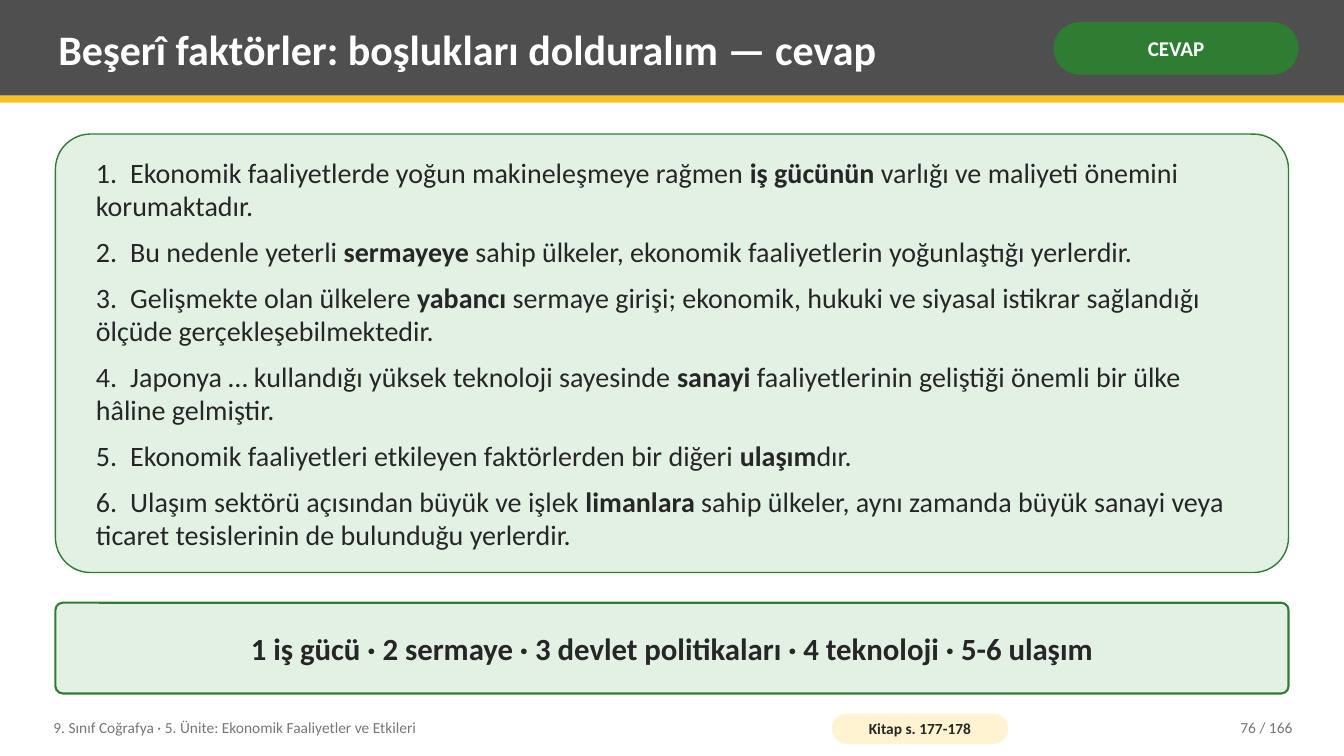
from dataclasses import dataclass
from typing import Optional

from lxml.etree import SubElement
from pptx import Presentation
from pptx.dml.color import RGBColor
from pptx.enum.shapes import MSO_SHAPE
from pptx.enum.text import MSO_ANCHOR, MSO_AUTO_SIZE, PP_ALIGN
from pptx.oxml.ns import qn
from pptx.util import Pt

PX = 9144
FONT = "Calibri"
COLORS = {
    "header": "4F4F4F",
    "accent": "FCC021",
    "white": "FFFFFF",
    "green": "2E7D32",
    "mint": "E3F1E4",
    "ink": "262626",
    "cream": "FFF3D1",
    "gray": "767676",
}


@dataclass(frozen=True)
class Box:
    left: int
    top: int
    width: int
    height: int

    def emu(self) -> tuple[int, ...]:
        return tuple(v * PX for v in (self.left, self.top, self.width, self.height))


@dataclass(frozen=True)
class Style:
    size: int
    color: str
    bold: bool = False
    align: PP_ALIGN = PP_ALIGN.LEFT
    inset_x: int = 8
    inset_y: int = 4


@dataclass(frozen=True)
class Panel:
    box: Box
    fill: str
    radius: Optional[float] = None
    border: float = 0
    text: str = ""
    style: Optional[Style] = None


@dataclass(frozen=True)
class Label:
    box: Box
    text: str
    style: Style


@dataclass(frozen=True)
class Sentence:
    before: str
    answer: str
    after: str


HEADER_BARS = [
    Panel(Box(0, 0, 1333, 95), "header"),
    Panel(Box(0, 95, 1333, 7), "accent"),
]
TITLE = Label(
    Box(50, 7, 975, 82),
    "Beşerî faktörler: boşlukları dolduralım — cevap",
    Style(30, "white", True),
)
BADGE = Panel(
    Box(1045, 22, 243, 52), "green", 0.5, 0, "CEVAP",
    Style(15, "white", True, PP_ALIGN.CENTER, 5, 2),
)
SENTENCE_PANEL = Panel(Box(55, 133, 1223, 435), "mint", 0.08, 1)
SENTENCE_STYLE = Style(20, "ink", inset_x=30, inset_y=8)
NUMBER_WIDTH = 34
SENTENCES = [
    Sentence("Ekonomik faaliyetlerde yoğun makineleşmeye rağmen ", "iş gücünün",
             " varlığı ve maliyeti önemini korumaktadır."),
    Sentence("Bu nedenle yeterli ", "sermayeye",
             " sahip ülkeler, ekonomik faaliyetlerin yoğunlaştığı yerlerdir."),
    Sentence("Gelişmekte olan ülkelere ", "yabancı",
             " sermaye girişi; ekonomik, hukuki ve siyasal istikrar sağlandığı "
             "ölçüde gerçekleşebilmektedir."),
    Sentence("Japonya … kullandığı yüksek teknoloji sayesinde ", "sanayi",
             " faaliyetlerinin geliştiği önemli bir ülke hâline gelmiştir."),
    Sentence("Ekonomik faaliyetleri etkileyen faktörlerden bir diğeri ", "ulaşım", "dır."),
    Sentence("Ulaşım sektörü açısından büyük ve işlek ", "limanlara",
             " sahip ülkeler, aynı zamanda büyük sanayi veya ticaret tesislerinin "
             "de bulunduğu yerlerdir."),
]
SUMMARY = Panel(
    Box(55, 598, 1223, 90), "mint", 0.08, 1.5,
    "1 iş gücü · 2 sermaye · 3 devlet politikaları · 4 teknoloji · 5-6 ulaşım",
    Style(22, "ink", True, PP_ALIGN.CENTER, 22, 8),
)
BOOK_PAGES = Panel(
    Box(825, 708, 175, 30), "cream", 0.5, 0, "Kitap s. 177-178",
    Style(11, "ink", True, PP_ALIGN.CENTER, 4, 0),
)
FOOTER_LABELS = [
    Label(Box(45, 704, 760, 36),
          "9. Sınıf Coğrafya · 5. Ünite: Ekonomik Faaliyetler ve Etkileri",
          Style(11, "gray")),
    Label(Box(1130, 704, 160, 36), "76 / 166",
          Style(11, "gray", align=PP_ALIGN.RIGHT)),
]


def rgb(name: str) -> RGBColor:
    return RGBColor.from_string(COLORS[name])


def format_frame(frame, style: Style) -> None:
    frame.word_wrap = True
    frame.auto_size = MSO_AUTO_SIZE.NONE
    frame.vertical_anchor = MSO_ANCHOR.MIDDLE
    frame.margin_left = frame.margin_right = style.inset_x * PX
    frame.margin_top = frame.margin_bottom = style.inset_y * PX


def format_paragraph(paragraph, style: Style) -> None:
    paragraph.alignment = style.align
    font = paragraph.font
    font.name = FONT
    font.size = Pt(style.size)
    font.bold = style.bold
    font.color.rgb = rgb(style.color)


def write_text(frame, text: str, style: Style) -> None:
    format_frame(frame, style)
    frame.text = text
    format_paragraph(frame.paragraphs[0], style)


def draw_panel(slide, panel: Panel):
    kind = MSO_SHAPE.RECTANGLE if panel.radius is None else MSO_SHAPE.ROUNDED_RECTANGLE
    shape = slide.shapes.add_shape(kind, *panel.box.emu())
    shape.shadow.inherit = False
    shape.fill.solid()
    shape.fill.fore_color.rgb = rgb(panel.fill)
    if panel.radius is not None:
        shape.adjustments[0] = panel.radius
    if panel.border:
        shape.line.color.rgb = rgb("green")
        shape.line.width = Pt(panel.border)
    else:
        shape.line.fill.background()
    if panel.style:
        write_text(shape.text_frame, panel.text, panel.style)
    return shape


def draw_label(slide, label: Label) -> None:
    text_box = slide.shapes.add_textbox(*label.box.emu())
    write_text(text_box.text_frame, label.text, label.style)


def place_title(slide, label: Label) -> None:
    title = slide.shapes.title
    title.left, title.top, title.width, title.height = label.box.emu()
    write_text(title.text_frame, label.text, label.style)
    slide.shapes[-1].element.addnext(title.element)


def write_sentences(frame, sentences: list[Sentence]) -> None:
    format_frame(frame, SENTENCE_STYLE)
    for number, sentence in enumerate(sentences, 1):
        paragraph = frame.paragraphs[0] if number == 1 else frame.add_paragraph()
        tabs = SubElement(paragraph._p.get_or_add_pPr(), qn("a:tabLst"))
        SubElement(tabs, qn("a:tab"), pos=str(NUMBER_WIDTH * PX), algn="l")
        format_paragraph(paragraph, SENTENCE_STYLE)
        if number < len(sentences):
            paragraph.space_after = Pt(8.6)
        paragraph.add_run().text = f"{number}.\t{sentence.before}"
        answer = paragraph.add_run()
        answer.text = sentence.answer
        answer.font.bold = True
        paragraph.add_run().text = sentence.after


def main() -> None:
    deck = Presentation()
    deck.slide_width, deck.slide_height = 1333 * PX, 750 * PX
    slide = deck.slides.add_slide(deck.slide_layouts.get_by_name("Title Only"))
    for bar in HEADER_BARS:
        draw_panel(slide, bar)
    place_title(slide, TITLE)
    draw_panel(slide, BADGE)
    write_sentences(draw_panel(slide, SENTENCE_PANEL).text_frame, SENTENCES)
    draw_panel(slide, SUMMARY)
    draw_panel(slide, BOOK_PAGES)
    for label in FOOTER_LABELS:
        draw_label(slide, label)
    deck.save("out.pptx")


if __name__ == "__main__":
    main()
